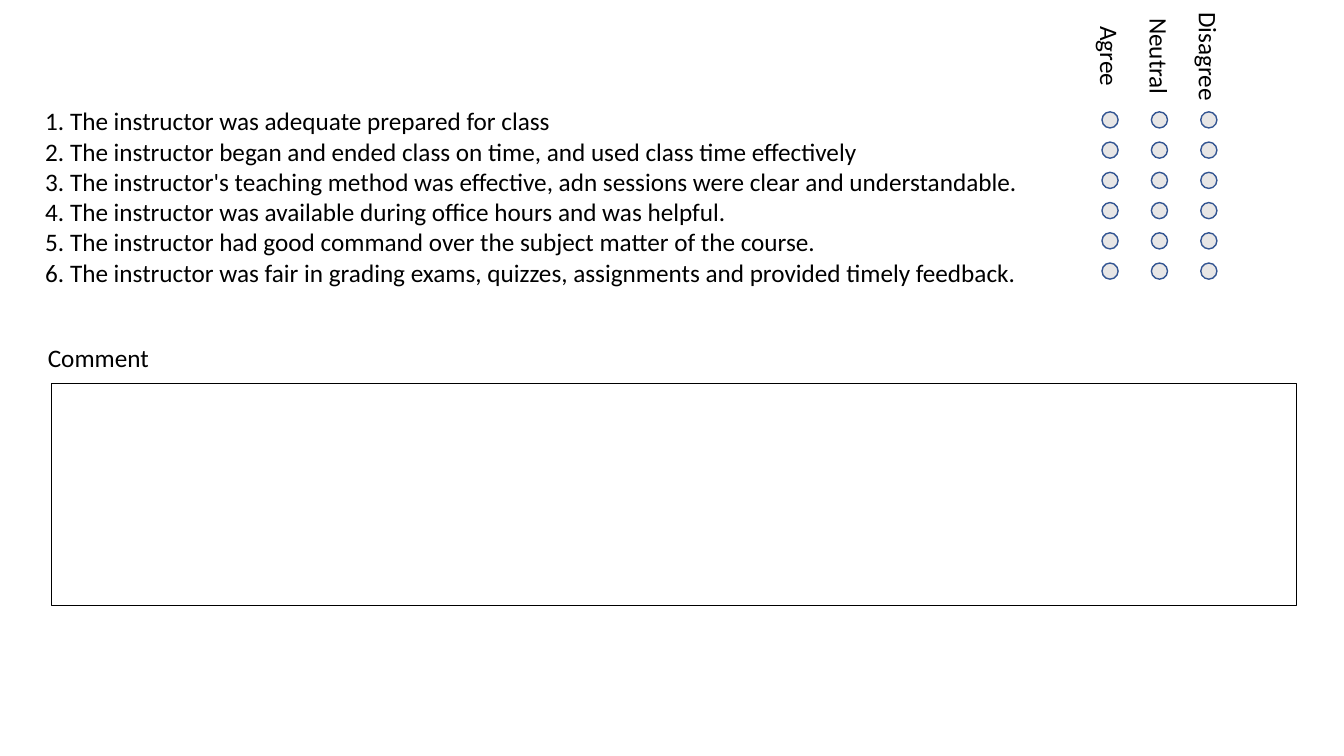
from dataclasses import dataclass

from pptx import Presentation
from pptx import util as u
from pptx.dml.color import RGBColor
from pptx.enum import shapes, text


@dataclass(frozen=True)
class Theme:
    font: str = "Calibri"
    size: int = 18
    ink: str = "000000"
    dot: str = "E7E6E6"
    ring: str = "325491"


class Form:
    def __init__(self, slide, theme):
        self.slide = slide
        self.theme = theme

    def label(self, box, lines, align=text.PP_ALIGN.LEFT, wrap=True, turn=0):
        item = self.slide.shapes.add_textbox(*map(u.Inches, box))
        item.rotation = turn
        frame = item.text_frame
        frame.word_wrap = wrap
        frame.auto_size = text.MSO_AUTO_SIZE.SHAPE_TO_FIT_TEXT
        frame.text = "\n".join(lines)
        style = {"name": self.theme.font, "size": u.Pt(self.theme.size)}
        for para in frame.paragraphs:
            para.alignment = align
            font = para.runs[0].font
            for key, value in style.items():
                setattr(font, key, value)
            font.color.rgb = RGBColor.from_string(self.theme.ink)

    def shape(self, kind, box, line, width, fill=None):
        item = self.slide.shapes.add_shape(kind, *map(u.Inches, box))
        item.shadow.inherit = False
        if fill:
            item.fill.solid()
            item.fill.fore_color.rgb = RGBColor.from_string(fill)
        else:
            item.fill.background()
        item.line.color.rgb = RGBColor.from_string(line)
        item.line.width = u.Pt(width)

    def dot(self, left, top):
        self.shape(shapes.MSO_SHAPE.FLOWCHART_CONNECTOR, (left, top, DOT, DOT),
                   self.theme.ring, 1, self.theme.dot)

    def upright(self, mid, word, width):
        """Place a word turned 90 degrees, centred on the column at mid."""
        self.label((mid - width / 2, 0.36, width, 0.4), [word],
                   text.PP_ALIGN.CENTER, wrap=False, turn=90)

    def frame(self, box):
        self.shape(shapes.MSO_SHAPE.RECTANGLE, box, self.theme.ink, 0.75)


DOT = 0.16
LEFT, STEP = 10.93, 0.49
TOP, PITCH = 1.11, 0.3
CHOICES = {"Agree": 0.8, "Neutral": 0.97, "Disagree": 1.09}
ITEMS = [
    "1. The instructor was adequate prepared for class",
    "2. The instructor began and ended class on time, and used class time effectively",
    "3. The instructor's teaching method was effective, adn sessions were clear and understandable.",
    "4. The instructor was available during office hours and was helpful.",
    "5. The instructor had good command over the subject matter of the course.",
    "6. The instructor was fair in grading exams, quizzes, assignments and provided timely feedback.",
]


def main():
    deck = Presentation()
    deck.slide_width = u.Inches(13.33)
    deck.slide_height = u.Inches(7.5)
    form = Form(deck.slides.add_slide(deck.slide_layouts[6]), Theme())

    form.label((0.35, 1, 12.98, 1.92), ITEMS)
    for col, (word, width) in enumerate(CHOICES.items()):
        left = LEFT + col * STEP
        form.upright(left + DOT / 2, word, width)
        for row in range(len(ITEMS)):
            form.dot(left, TOP + row * PITCH)

    form.label((0.35, 3.35, 1.25, 0.4), ["Comment"], text.PP_ALIGN.CENTER)
    form.frame((0.51, 3.8, 12.35, 2.21))
    deck.save("out.pptx")


if __name__ == "__main__":
    main()
